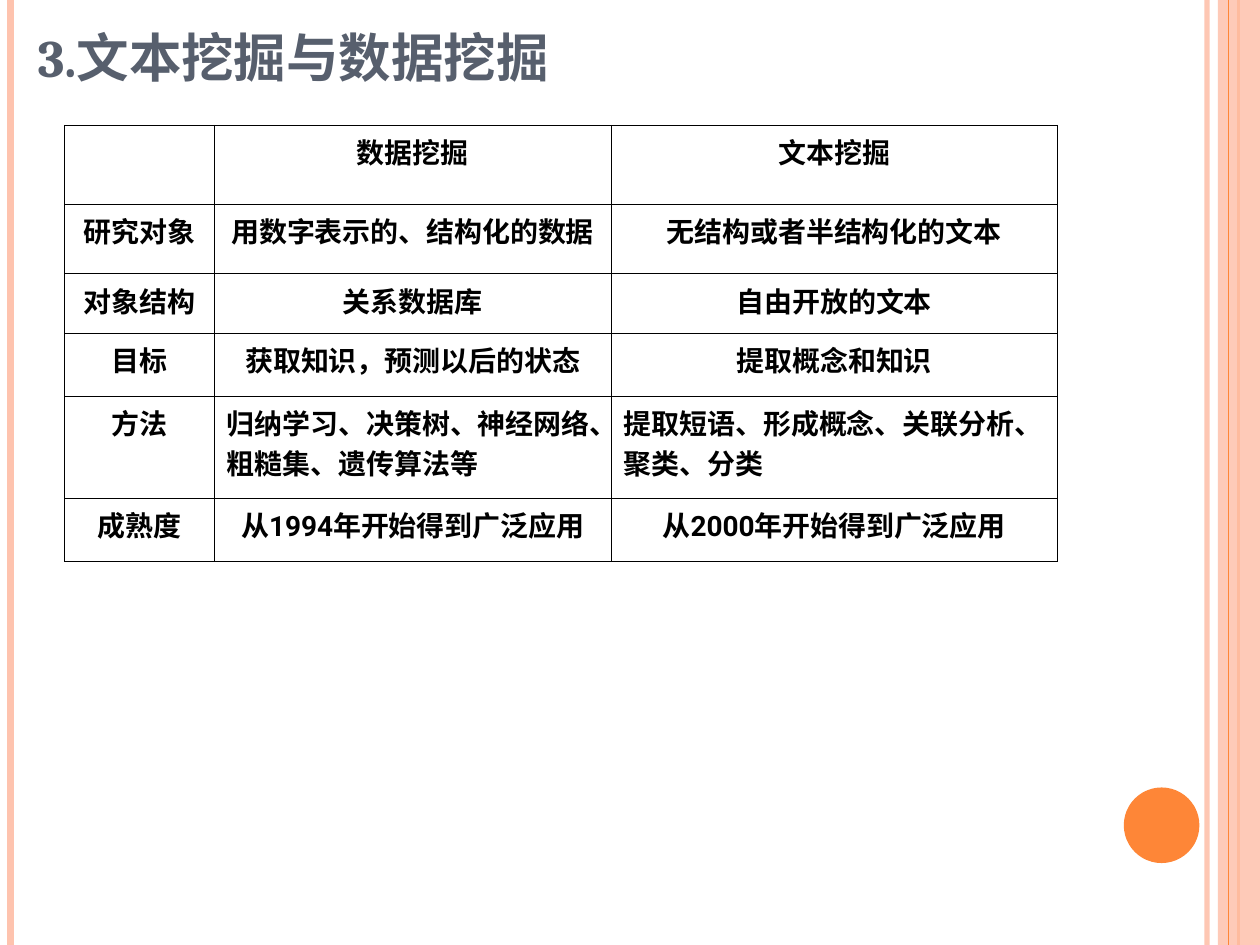
"""Build a slide comparing data mining with text mining in a table."""
from itertools import groupby
from typing import NamedTuple

from lxml.etree import SubElement
from pptx import Presentation
from pptx.dml.color import RGBColor
from pptx.enum.shapes import MSO_CONNECTOR as Connector, MSO_SHAPE as Shape
from pptx.enum.text import MSO_ANCHOR as Anchor, MSO_AUTO_SIZE as AutoSize, PP_ALIGN as Align
from pptx.oxml.ns import qn
from pptx.util import Pt

PAGE_WIDTH, PAGE_HEIGHT = 720, 540
ORANGE, PEACH, SLATE, BLACK = "FE8637", "FEC3AE", "575F6D", "000000"


class Stripe(NamedTuple):
    x: float
    color: str
    width: float
    opacity: int = 100


class Block(NamedTuple):
    kind: Shape
    left: float
    top: float
    width: float
    height: float
    color: str
    opacity: int = 100


class Row(NamedTuple):
    height: float
    cells: tuple[str, str, str]
    align: Align = Align.CENTER


BACK_STRIPES = [
    Stripe(689.8, PEACH, 3, 93),
    Stripe(6, PEACH, 4.5),
    Stripe(707.8, ORANGE, 1.5),
]
BAND = Block(Shape.RECTANGLE, 696, 0, 24, PAGE_HEIGHT, PEACH, 87)
FRONT_STRIPE = Stripe(702, ORANGE, 0.75)
DISC = Block(Shape.OVAL, 642.2, 450, 43.2, 43.2, ORANGE)

COLUMN_WIDTHS = [85.7, 226.8, 254.9]
ROWS = [
    Row(45.2, ("", "数据挖掘", "文本挖掘")),
    Row(39.8, ("研究对象", "用数字表示的、结构化的数据", "无结构或者半结构化的文本")),
    Row(33.8, ("对象结构", "关系数据库", "自由开放的文本")),
    Row(36, ("目标", "获取知识，预测以后的状态", "提取概念和知识")),
    Row(58.3, ("方法", "归纳学习、决策树、神经网络、\n粗糙集、遗传算法等",
               "提取短语、形成概念、关联分析、\n聚类、分类"), Align.LEFT),
    Row(36, ("成熟度", "从1994年开始得到广泛应用", "从2000年开始得到广泛应用")),
]


def paint(target, color: str, opacity: int = 100) -> None:
    """Give a fill a solid colour with an optional opacity in percent."""
    target.solid()
    target.fore_color.rgb = RGBColor.from_string(color)
    if opacity < 100:
        for tone in target._xPr.iter(qn("a:srgbClr")):
            SubElement(tone, qn("a:alpha"), val=str(opacity * 1000))


def write(frame, text: str, *, size: float, color: str, font: str, digit_font: str = "",
          align: Align = Align.LEFT, hanging: float = 0) -> None:
    """Write one paragraph per line, with digits in their own font if one is given."""
    for index, line in enumerate(text.split("\n")):
        para = frame.add_paragraph() if index else frame.paragraphs[0]
        para.alignment = align
        if hanging:
            properties = para._p.get_or_add_pPr()
            properties.set("marL", str(Pt(hanging)))
            properties.set("indent", str(-Pt(hanging)))
        for is_digit, letters in groupby(line, lambda letter: bool(digit_font) and letter.isdigit()):
            span = para.add_run()
            span.text = "".join(letters)
            span.font.name = digit_font if is_digit else font
            span.font.size = Pt(size)
            span.font.bold = True
            paint(span.font.fill, color)


def draw_stripe(page, stripe: Stripe) -> None:
    """Draw a vertical line over the full height of the page."""
    line = page.shapes.add_connector(
        Connector.STRAIGHT, Pt(stripe.x), 0, Pt(stripe.x), Pt(PAGE_HEIGHT))
    line.line.width = Pt(stripe.width)
    paint(line.line.fill, stripe.color, stripe.opacity)
    SubElement(line._element.spPr, qn("a:effectLst"))


def draw_block(page, block: Block) -> None:
    """Draw a filled shape without an outline."""
    shape = page.shapes.add_shape(
        block.kind, Pt(block.left), Pt(block.top), Pt(block.width), Pt(block.height))
    shape.shadow.inherit = False
    shape.line.fill.background()
    paint(shape.fill, block.color, block.opacity)


def add_borders(cell, color: str, width: float) -> None:
    """Draw a thin line along each side of a table cell."""
    properties = cell._tc.get_or_add_tcPr()
    for side in ("a:lnL", "a:lnR", "a:lnT", "a:lnB"):
        line = SubElement(properties, qn(side), w=str(Pt(width)))
        fill = SubElement(line, qn("a:solidFill"))
        SubElement(fill, qn("a:srgbClr"), val=color)


def draw_table(page, left: float, top: float) -> None:
    """Draw the comparison table with its labels centred."""
    table = page.shapes.add_table(
        len(ROWS), len(COLUMN_WIDTHS), Pt(left), Pt(top),
        Pt(sum(COLUMN_WIDTHS)), Pt(sum(row.height for row in ROWS))).table
    table.first_row = table.horz_banding = False
    for column, width in zip(table.columns, COLUMN_WIDTHS):
        column.width = Pt(width)
    for row_index, row in enumerate(ROWS):
        table.rows[row_index].height = Pt(row.height)
        for column_index, text in enumerate(row.cells):
            cell = table.cell(row_index, column_index)
            add_borders(cell, BLACK, 0.45)
            cell.fill.background()
            write(cell.text_frame, text, size=16, color=BLACK, font="Times New Roman",
                  digit_font="Roboto", hanging=27,
                  align=row.align if column_index else Align.CENTER)


def draw_title(page, text: str) -> None:
    """Place the title at the top left of the page."""
    title = page.shapes.title
    title.left, title.top, title.width, title.height = Pt(14.4), Pt(-36), Pt(613.4), Pt(90)
    title.text_frame.auto_size = AutoSize.NONE
    title.text_frame.vertical_anchor = Anchor.BOTTOM
    write(title.text_frame, text, size=30, color=SLATE, font="Cambria")


def main() -> None:
    """Build the deck and save it."""
    deck = Presentation()
    deck.slide_width, deck.slide_height = Pt(PAGE_WIDTH), Pt(PAGE_HEIGHT)
    page = deck.slides.add_slide(deck.slide_layouts.get_by_name("Title Only"))
    for stripe in BACK_STRIPES:
        draw_stripe(page, stripe)
    draw_block(page, BAND)
    draw_stripe(page, FRONT_STRIPE)
    draw_block(page, DISC)
    draw_title(page, "3.文本挖掘与数据挖掘")
    draw_table(page, 36.8, 71.5)
    deck.save("out.pptx")


if __name__ == "__main__":
    main()
